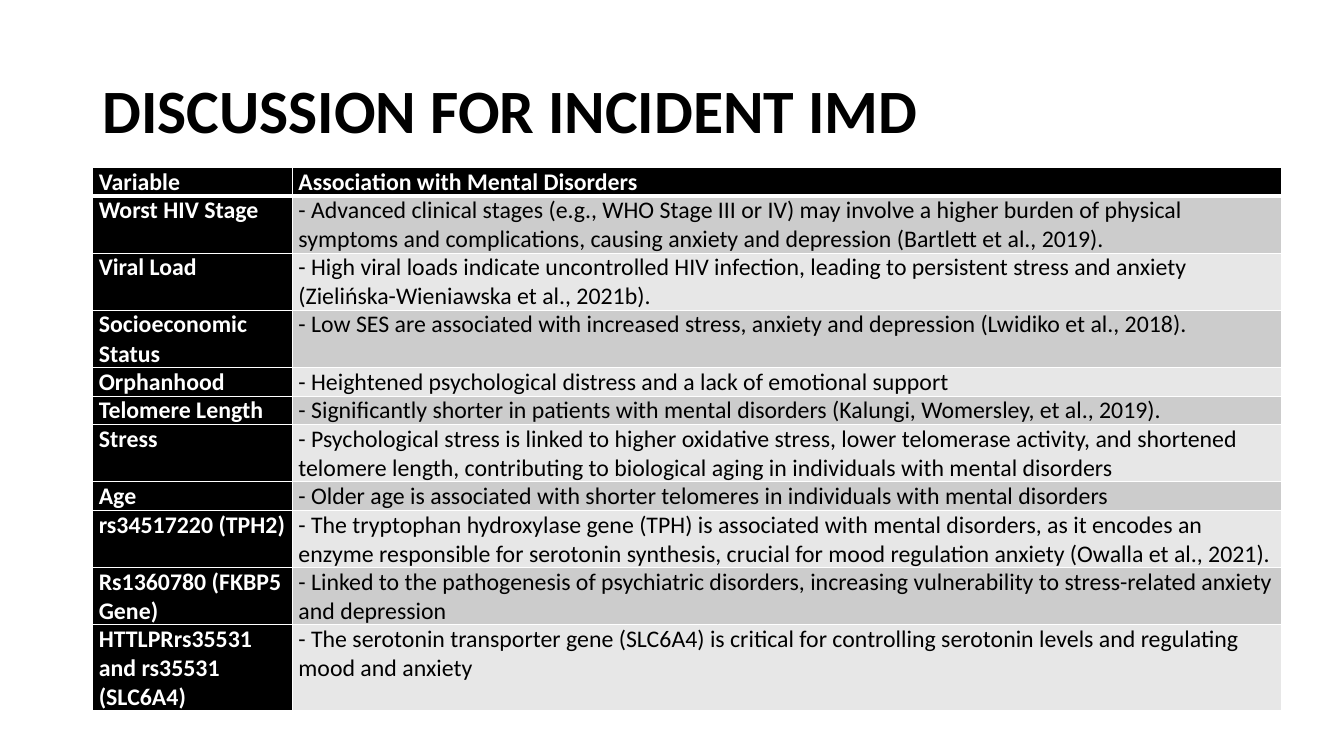
from lxml.etree import SubElement
from pptx import Presentation
from pptx.dml.color import RGBColor as Color
from pptx.enum.text import MSO_ANCHOR as Anchor
from pptx.oxml.ns import qn
from pptx.util import Inches, Pt

BLACK = Color(0x00, 0x00, 0x00)
WHITE = Color(0xFF, 0xFF, 0xFF)
DARK_BAND = Color(0xCC, 0xCC, 0xCC)
LIGHT_BAND = Color(0xE7, 0xE7, 0xE7)

HEADINGS = ("Variable", "Association with Mental Disorders", 1)
FINDINGS = [
    ("Worst HIV Stage",
     "- Advanced clinical stages (e.g., WHO Stage III or IV) may involve a higher burden of physical "
     "symptoms and complications, causing anxiety and depression (Bartlett et al., 2019).", 2),
    ("Viral Load",
     "- High viral loads indicate uncontrolled HIV infection, leading to persistent stress and anxiety "
     "(Zielińska-Wieniawska et al., 2021b).", 2),
    ("Socioeconomic Status",
     "- Low SES are associated with increased stress, anxiety and depression (Lwidiko et al., 2018).", 2),
    ("Orphanhood",
     "- Heightened psychological distress and a lack of emotional support", 1),
    ("Telomere Length",
     "- Significantly shorter in patients with mental disorders (Kalungi, Womersley, et al., 2019).", 1),
    ("Stress",
     "- Psychological stress is linked to higher oxidative stress, lower telomerase activity, and shortened "
     "telomere length, contributing to biological aging in individuals with mental disorders", 2),
    ("Age",
     "- Older age is associated with shorter telomeres in individuals with mental disorders", 1),
    ("rs34517220 (TPH2)",
     "- The tryptophan hydroxylase gene (TPH) is associated with mental disorders, as it encodes an "
     "enzyme responsible for serotonin synthesis, crucial for mood regulation anxiety (Owalla et al., 2021).", 2),
    ("Rs1360780 (FKBP5 Gene)",
     "- Linked to the pathogenesis of psychiatric disorders, increasing vulnerability to stress-related anxiety "
     "and depression", 2),
    ("HTTLPRrs35531 and rs35531 (SLC6A4)",
     "- The serotonin transporter gene (SLC6A4) is critical for controlling serotonin levels and regulating "
     "mood and anxiety", 3),
]


class Deck:
    font_name = "Calibri"
    width, height = 13.33, 7.5
    left = 0.92

    def __init__(self):
        self.show = Presentation()
        self.show.slide_width = Inches(self.width)
        self.show.slide_height = Inches(self.height)
        self.slide = self.show.slides.add_slide(self.show.slide_layouts[6])

    def add_words(self, frame, words, size, color, bold):
        paragraph = frame.paragraphs[0]
        run = paragraph.add_run()
        run.text = words
        run.font.name = self.font_name
        run.font.size = Pt(size)
        run.font.bold = bold
        run.font.color.rgb = color
        return paragraph

    def title(self, words, top, width, height):
        box = self.slide.shapes.add_textbox(
            Inches(self.left), Inches(top), Inches(width), Inches(height))
        frame = box.text_frame
        frame.word_wrap = True
        frame.vertical_anchor = Anchor.MIDDLE
        self.add_words(frame, words, 44, BLACK, True).line_spacing = 0.9

    def border(self, cell, **widths):
        properties = cell._tc.get_or_add_tcPr()
        for side in "LRTB":
            line = SubElement(properties, qn(f"a:ln{side}"), w=str(Pt(widths.get(side, 1))))
            SubElement(SubElement(line, qn("a:solidFill")), qn("a:srgbClr"), val=str(WHITE))

    def cell(self, cell, words, fill, color, bold, **widths):
        cell.margin_left = cell.margin_right = Inches(0.06)
        cell.margin_top = cell.margin_bottom = 0
        self.border(cell, **widths)
        cell.fill.solid()
        cell.fill.fore_color.rgb = fill
        self.add_words(cell.text_frame, words, 17, color, bold)

    def table(self, rows, top, column_widths, height):
        line_height = height / sum(lines for *_, lines in rows)
        table = self.slide.shapes.add_table(
            len(rows), len(column_widths), Inches(self.left), Inches(top),
            Inches(sum(column_widths)), Inches(height)).table
        table.first_row = table.horz_banding = False
        for column, width in zip(table.columns, column_widths):
            column.width = Inches(width)
        for index, (variable, association, lines) in enumerate(rows):
            table.rows[index].height = Inches(line_height * lines)
            widths = {0: {"B": 3}, 1: {"T": 3}}.get(index, {})
            band = DARK_BAND if index % 2 else LIGHT_BAND
            is_header = index == 0
            self.cell(table.cell(index, 0), variable, BLACK, WHITE, True, **widths)
            self.cell(table.cell(index, 1), association, BLACK if is_header else band,
                      WHITE if is_header else BLACK, is_header, **widths)


def main():
    deck = Deck()
    deck.title("DISCUSSION FOR INCIDENT IMD", 0.4, 11.5, 1.45)
    deck.table([HEADINGS, *FINDINGS], 1.66, (1.98, 9.81), 5.38)
    deck.show.save("out.pptx")


if __name__ == "__main__":
    main()
